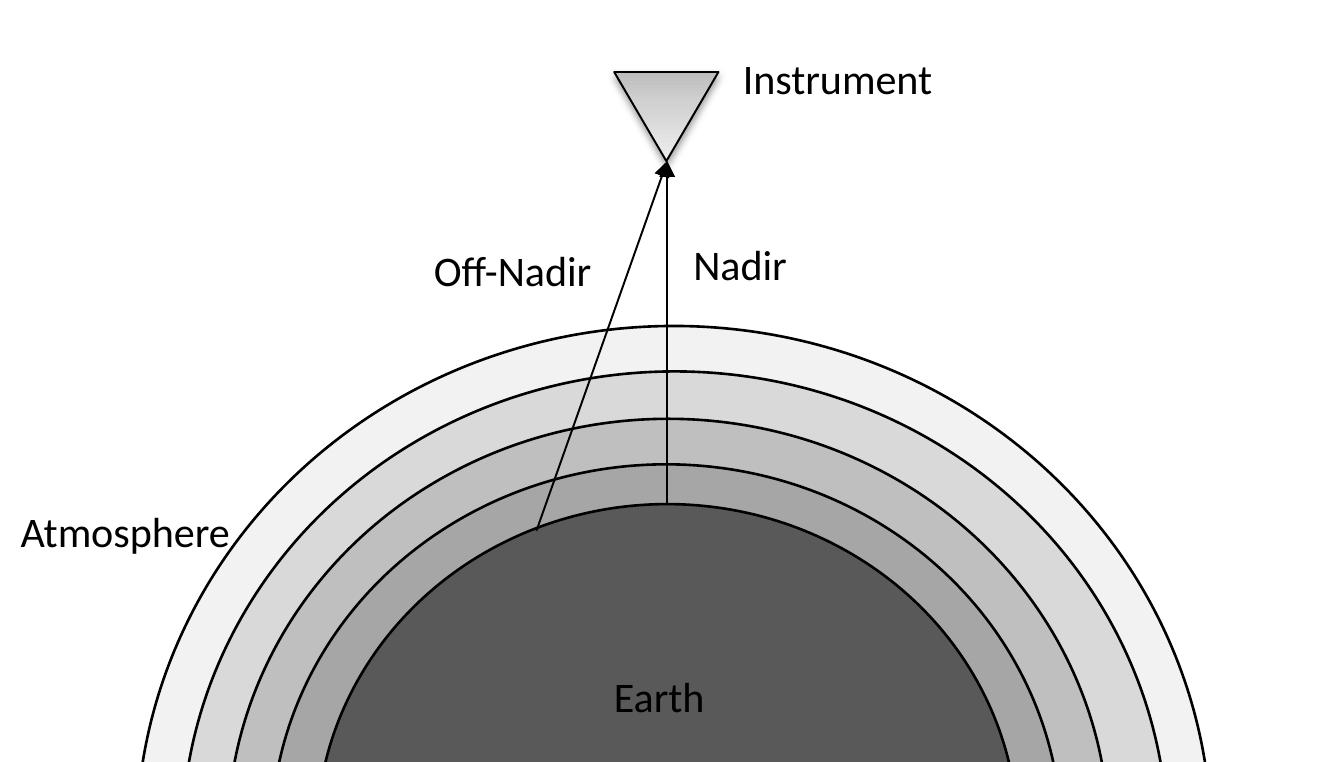
from dataclasses import dataclass
from typing import Any

import lxml.etree
import pptx
import pptx.dml.color
import pptx.enum.shapes
import pptx.enum.text
import pptx.oxml
import pptx.oxml.ns
import pptx.util

SHAPE = pptx.enum.shapes.MSO_SHAPE
NS = pptx.oxml.ns.nsdecls("a")
CELLS_PER_INCH = 10


@dataclass(frozen=True)
class Theme:
    ink: str = "000000"
    layers: tuple[str, ...] = ("F2F2F2", "D9D9D9", "BFBFBF", "A6A6A6", "595959")
    gradient: tuple[tuple[int, str], ...] = ((0, "BDBDBD"), (35, "D1D1D1"), (100, "EEEEEE"))
    font: str = "Calibri"
    label_size: float = 16
    layer_line: float = 1
    thin_line: float = 0.75


@dataclass(frozen=True)
class Box:
    col: float
    row: float
    cols: float
    rows: float


@dataclass(frozen=True)
class Label:
    text: str
    col: float
    row: float
    cols: float


@dataclass(frozen=True)
class Point:
    col: float
    row: float


THEME = Theme()
LABEL_ROWS = 3.7
LAYERS = (
    Box(7.2, 17.2, 56.7, 54.3),
    Box(9.6, 19.6, 52, 49.6),
    Box(12, 22.1, 46.5, 44.1),
    Box(14.3, 24.5, 41.7, 39.4),
    Box(16.7, 26.6, 37, 35.1),
)
INSTRUMENT = Box(32.4, 3.8, 5.5, 4.7)
APEX = Point(35.2, INSTRUMENT.row + INSTRUMENT.rows)
GROUND_POINTS = (Point(APEX.col, LAYERS[-1].row), Point(28.3, 28))
LABELS = (
    Label("Earth", 31.4, 34.9, 6.9),
    Label("Atmosphere", 0.1, 26.2, 13.2),
    Label("Nadir", 35.6, 12.1, 7),
    Label("Instrument", 38.2, 2.3, 12.1),
    Label("Off-Nadir", 21.9, 12.4, 10.5),
)


def grid(cells: float) -> int:
    return pptx.util.Inches(cells / CELLS_PER_INCH)


def rgb(value: str) -> pptx.dml.color.RGBColor:
    return pptx.dml.color.RGBColor.from_string(value)


def apply(target: Any, values: dict[str, Any]) -> None:
    for name, value in values.items():
        setattr(target, name, value)


def set_line(line: Any, width: float) -> None:
    line.width = pptx.util.Pt(width)
    line.fill.solid()
    line.fill.fore_color.rgb = rgb(THEME.ink)


def add_outline(s: Any, kind: Any, box: Box, width: float) -> Any:
    sp = s.shapes.add_shape(kind, grid(box.col), grid(box.row), grid(box.cols), grid(box.rows))
    sp.shadow.inherit = False
    set_line(sp.line, width)
    return sp


def add_layer(s: Any, box: Box, color: str) -> None:
    sp = add_outline(s, SHAPE.OVAL, box, THEME.layer_line)
    sp.fill.solid()
    sp.fill.fore_color.rgb = rgb(color)


def add_instrument(s: Any, box: Box) -> None:
    sp = add_outline(s, SHAPE.ISOSCELES_TRIANGLE, box, THEME.thin_line)
    sp.rotation = 180
    stops = "".join(
        f'<a:gs pos="{share * 1000}"><a:srgbClr val="{color}"/></a:gs>'
        for share, color in THEME.gradient
    )
    sp.fill.background()
    props = sp._element.spPr
    props.replace(
        props.find(pptx.oxml.ns.qn("a:noFill")),
        pptx.oxml.parse_xml(
            f'<a:gradFill {NS} rotWithShape="1"><a:gsLst>{stops}</a:gsLst>'
            '<a:lin ang="16200000" scaled="0"/></a:gradFill>'
        ),
    )
    props.find(pptx.oxml.ns.qn("a:effectLst")).append(
        pptx.oxml.parse_xml(
            f'<a:outerShdw {NS} blurRad="{pptx.util.Pt(3.1)}" dist="{pptx.util.Pt(1.6)}" '
            f'dir="5400000" rotWithShape="0"><a:srgbClr val="{THEME.ink}">'
            '<a:alpha val="38000"/></a:srgbClr></a:outerShdw>'
        )
    )


def add_sight_line(s: Any, start: Point, end: Point) -> None:
    line = s.shapes.add_connector(
        pptx.enum.shapes.MSO_CONNECTOR.STRAIGHT,
        grid(start.col), grid(start.row), grid(end.col), grid(end.row),
    )
    set_line(line.line, THEME.thin_line)
    head = lxml.etree.SubElement(line.line._get_or_add_ln(), pptx.oxml.ns.qn("a:headEnd"))
    head.set("type", "triangle")
    lxml.etree.SubElement(line._element.spPr, pptx.oxml.ns.qn("a:effectLst"))


def add_label(s: Any, label: Label) -> None:
    sp = s.shapes.add_textbox(
        grid(label.col), grid(label.row), grid(label.cols), grid(LABEL_ROWS)
    )
    tf = sp.text_frame
    apply(tf, {"word_wrap": False, "auto_size": pptx.enum.text.MSO_AUTO_SIZE.SHAPE_TO_FIT_TEXT})
    r = tf.paragraphs[0].add_run()
    r.text = label.text
    apply(r.font, {"name": THEME.font, "size": pptx.util.Pt(THEME.label_size)})
    r.font.color.rgb = rgb(THEME.ink)


def main() -> None:
    prs = pptx.Presentation()
    apply(prs, {"slide_width": pptx.util.Inches(7.09), "slide_height": pptx.util.Inches(4.02)})
    s = prs.slides.add_slide(prs.slide_layouts[6])
    for box, color in zip(LAYERS, THEME.layers):
        add_layer(s, box, color)
    add_instrument(s, INSTRUMENT)
    for point in GROUND_POINTS:
        add_sight_line(s, APEX, point)
    for label in LABELS:
        add_label(s, label)
    prs.save("out.pptx")


if __name__ == "__main__":
    main()
